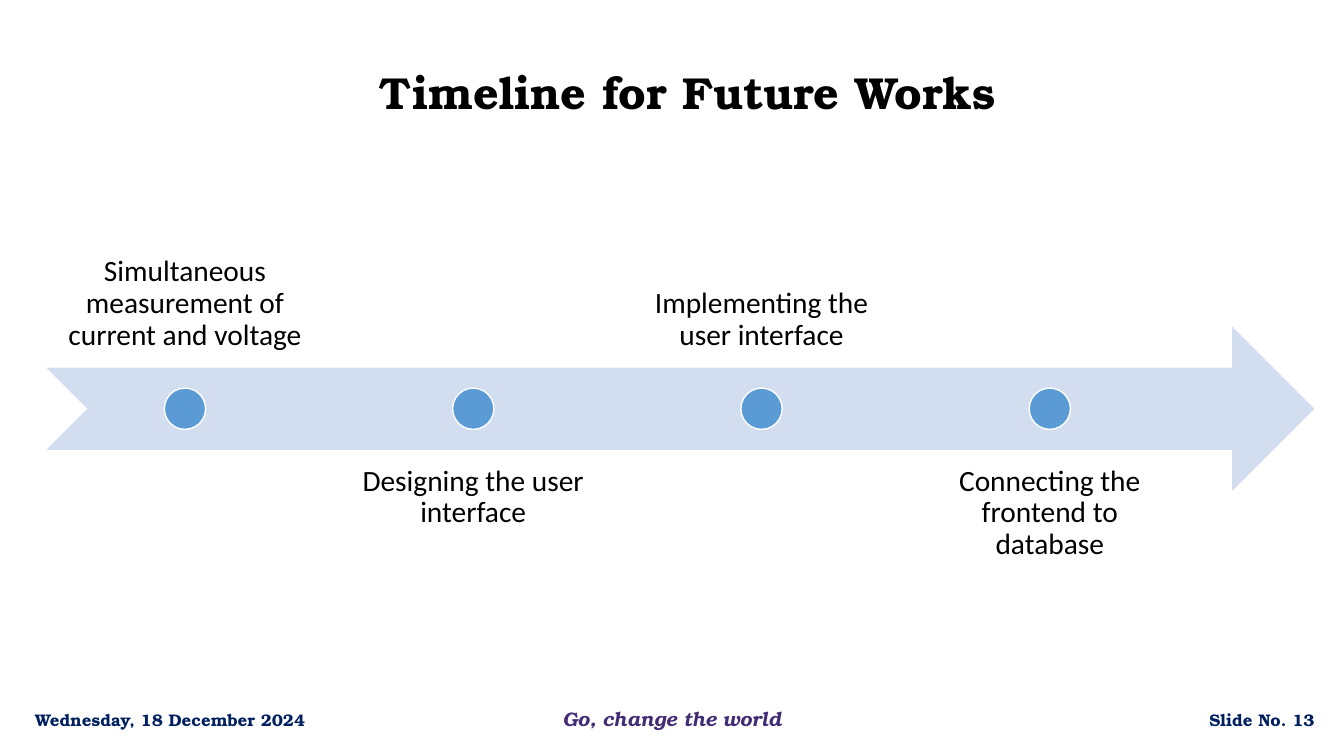
from dataclasses import dataclass

from pptx import Presentation
from pptx.dml.color import RGBColor
from pptx.enum.dml import MSO_LINE
from pptx.enum.shapes import MSO_SHAPE
from pptx.enum.text import MSO_ANCHOR, MSO_AUTO_SIZE, PP_ALIGN
from pptx.shapes.autoshape import Shape
from pptx.slide import Slide
from pptx.util import Pt

ARROW = MSO_SHAPE.NOTCHED_RIGHT_ARROW
CIRCLE = MSO_SHAPE.OVAL
SQUARE_DASH = MSO_LINE.SQUARE_DOT
TOP, MIDDLE, BOTTOM = MSO_ANCHOR.TOP, MSO_ANCHOR.MIDDLE, MSO_ANCHOR.BOTTOM
CENTER, RIGHT = PP_ALIGN.CENTER, PP_ALIGN.RIGHT
NO_AUTOFIT = MSO_AUTO_SIZE.NONE

BLACK = RGBColor(0x00, 0x00, 0x00)
WHITE = RGBColor(0xFF, 0xFF, 0xFF)
NAVY = RGBColor(0x00, 0x20, 0x60)
PURPLE = RGBColor(0x42, 0x2C, 0x75)
PALE_BLUE = RGBColor(0xD2, 0xDE, 0xEF)
BLUE = RGBColor(0x5B, 0x9B, 0xD5)

SERIF = "TeX Gyre Bonum"
SANS = "Calibri"

TITLE_ONLY_LAYOUT = 5
ARROW_LEFT, ARROW_TOP, ARROW_WIDTH = 33.12, 233.28, 905.76
BAND_HEIGHT = 117.36
LABEL_LEFT, LABEL_WIDTH, LABEL_PITCH = 33.84, 196.56, 205.92
LABEL_TOP_ABOVE, LABEL_TOP_BELOW = 145.44, 321.12
LABEL_INSET = 11.52
MARKER_SIZE = 29.52


@dataclass(frozen=True)
class Box:
    left: float
    top: float
    width: float
    height: float


@dataclass(frozen=True)
class Milestone:
    text: str
    above: bool


@dataclass(frozen=True)
class FooterItem:
    text: str
    box: Box
    size: float = 12
    color: RGBColor = NAVY
    italic: bool = False
    align: PP_ALIGN = CENTER
    anchor: MSO_ANCHOR = MIDDLE
    insets: tuple[float, float] = (7.2, 3.6)


MILESTONES = [
    Milestone("Simultaneous measurement of current and voltage", True),
    Milestone("Designing the user interface", False),
    Milestone("Implementing the user interface", True),
    Milestone("Connecting the frontend to database", False),
]

FOOTER = [
    FooterItem("Go, change the world", Box(398.16, 504, 164.16, 17.28), size=14,
               color=PURPLE, italic=True, anchor=TOP, insets=(0, 0.72)),
    FooterItem("Wednesday, 18 December 2024", Box(13.68, 499.68, 216, 28.8)),
    FooterItem("Slide No. 13", Box(730.08, 499.68, 216, 28.8), align=RIGHT),
]


def place(shape: Shape, box: Box) -> None:
    shape.left, shape.top = Pt(box.left), Pt(box.top)
    shape.width, shape.height = Pt(box.width), Pt(box.height)


def write_text(
    shape: Shape,
    text: str,
    *,
    size: float,
    font: str = SERIF,
    color: RGBColor = BLACK,
    bold: bool = False,
    italic: bool = False,
    align: PP_ALIGN = CENTER,
    anchor: MSO_ANCHOR = MIDDLE,
    insets: tuple[float, float] = (7.2, 3.6),
    line_spacing: float = 1.0,
) -> None:
    frame = shape.text_frame
    frame.word_wrap = True
    frame.auto_size = NO_AUTOFIT
    frame.vertical_anchor = anchor
    frame.margin_left = frame.margin_right = Pt(insets[0])
    frame.margin_top = frame.margin_bottom = Pt(insets[1])
    paragraph = frame.paragraphs[0]
    paragraph.alignment = align
    paragraph.line_spacing = line_spacing
    run = paragraph.add_run()
    run.text = text
    run.font.name = font
    run.font.size = Pt(size)
    run.font.bold = bold
    run.font.italic = italic
    run.font.color.rgb = color


def add_text_box(slide: Slide, box: Box) -> Shape:
    return slide.shapes.add_textbox(
        Pt(box.left), Pt(box.top), Pt(box.width), Pt(box.height)
    )


def add_filled_shape(slide: Slide, kind: MSO_SHAPE, box: Box, fill: RGBColor) -> Shape:
    shape = slide.shapes.add_shape(
        kind, Pt(box.left), Pt(box.top), Pt(box.width), Pt(box.height)
    )
    shape.shadow.inherit = False
    shape.fill.solid()
    shape.fill.fore_color.rgb = fill
    shape.line.fill.background()
    return shape


def add_title(slide: Slide) -> None:
    title = slide.shapes.title
    place(title, Box(74.88, 23.76, 833.04, 83.52))
    title.line.color.rgb = WHITE
    title.line.width = Pt(0.25)
    title.line.dash_style = SQUARE_DASH
    write_text(title, "Timeline for Future Works", size=32, bold=True)


def add_milestone(slide: Slide, index: int, milestone: Milestone) -> None:
    left = LABEL_LEFT + index * LABEL_PITCH
    top = LABEL_TOP_ABOVE if milestone.above else LABEL_TOP_BELOW
    label = add_text_box(slide, Box(left, top, LABEL_WIDTH, BAND_HEIGHT))
    write_text(
        label, milestone.text, size=21, font=SANS,
        anchor=BOTTOM if milestone.above else TOP,
        insets=(LABEL_INSET, LABEL_INSET), line_spacing=0.9,
    )
    marker_left = left + (LABEL_WIDTH - MARKER_SIZE) / 2
    marker_top = ARROW_TOP + (BAND_HEIGHT - MARKER_SIZE) / 2
    marker = add_filled_shape(
        slide, CIRCLE, Box(marker_left, marker_top, MARKER_SIZE, MARKER_SIZE), BLUE
    )
    marker.line.color.rgb = WHITE
    marker.line.width = Pt(1)


def add_footer_item(slide: Slide, item: FooterItem) -> None:
    write_text(
        add_text_box(slide, item.box), item.text, size=item.size, color=item.color,
        bold=True, italic=item.italic, align=item.align, anchor=item.anchor,
        insets=item.insets,
    )


def main() -> None:
    presentation = Presentation()
    presentation.slide_width, presentation.slide_height = Pt(960), Pt(540)
    slide = presentation.slides.add_slide(presentation.slide_layouts[TITLE_ONLY_LAYOUT])
    add_title(slide)
    add_filled_shape(
        slide, ARROW, Box(ARROW_LEFT, ARROW_TOP, ARROW_WIDTH, BAND_HEIGHT), PALE_BLUE
    )
    for index, milestone in enumerate(MILESTONES):
        add_milestone(slide, index, milestone)
    for item in FOOTER:
        add_footer_item(slide, item)
    presentation.save("out.pptx")


if __name__ == "__main__":
    main()
